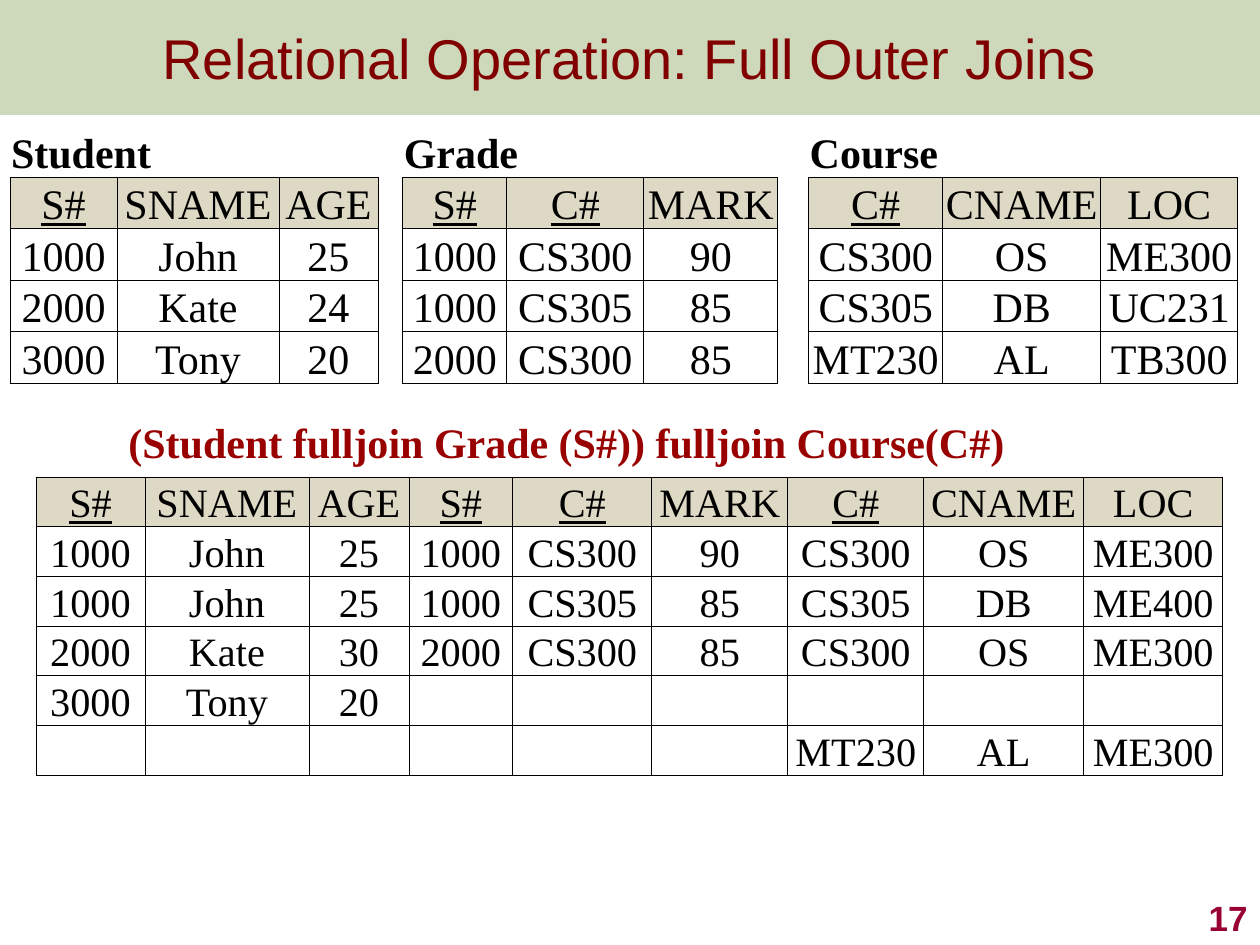
from pptx import Presentation, util as u
from pptx.dml.color import RGBColor
from pptx.enum import shapes, text
from pptx.oxml import parse_xml
from pptx.oxml.ns import nsdecls, qn
from lxml import etree

PX = 7257  # EMU per pixel at 126 px to the inch
LEFT, CENTER, RIGHT = text.PP_ALIGN.LEFT, text.PP_ALIGN.CENTER, text.PP_ALIGN.RIGHT
TOP, MIDDLE, BOTTOM = text.MSO_ANCHOR.TOP, text.MSO_ANCHOR.MIDDLE, text.MSO_ANCHOR.BOTTOM
SERIF = "Times New Roman"


def write(tf, words, size=24, font=SERIF, color="000000", bold=False,
          underline=False, align=LEFT):
    tf.word_wrap = True
    p = tf.paragraphs[0]
    p.alignment = align
    r = p.add_run()
    r.text = words
    r.font.size = u.Pt(size)
    r.font.name = font
    r.font.bold = bold
    r.font.underline = underline
    r.font.color.rgb = RGBColor.from_string(color)


def style_cell(cell, fill, sides):
    """Set tight margins, a fill and black lines on the named sides."""
    cell.margin_left = cell.margin_right = cell.margin_top = PX
    cell.margin_bottom = 0
    cell.vertical_anchor = BOTTOM
    tcPr = cell._tc.get_or_add_tcPr()
    for side in "LRTB":
        paint = ('<a:solidFill><a:srgbClr val="000000"/></a:solidFill>'
                 if side in sides else "<a:noFill/>")
        tcPr.append(parse_xml(f'<a:ln{side} {nsdecls("a")} w="6350">{paint}</a:ln{side}>'))
    cell.fill.solid()
    cell.fill.fore_color.rgb = RGBColor.from_string(fill)


prs = Presentation()
prs.slide_width, prs.slide_height = u.Inches(10), u.Inches(7.5)
s = prs.slides.add_slide(prs.slide_layouts[6])

# Title band
sp = s.shapes.add_shape(shapes.MSO_SHAPE.RECTANGLE, 0, 0, prs.slide_width, 115 * PX)
sp.shadow.inherit = False
sp.line.fill.background()
sp.fill.solid()
sp.fill.fore_color.rgb = RGBColor.from_string("5F8422")
etree.SubElement(sp._element.spPr.find(".//" + qn("a:srgbClr")), qn("a:alpha"), val="30000")
sp.text_frame.vertical_anchor = MIDDLE
write(sp.text_frame, "Relational Operation: Full Outer Joins", size=32,
      font="Arial", color="800000", align=CENTER)

# Join expression and page number
for words, x, y, w, h, anchor, style in [
    ("(Student fulljoin Grade (S#)) fulljoin Course(C#)", 116, 410, 1029, 63, TOP,
     dict(color="990000")),
    ("17", 998, 882, 262, 63, BOTTOM,
     dict(size=20, font="Arial", color="990033", align=RIGHT)),
]:
    tf = s.shapes.add_textbox(x * PX, y * PX, w * PX, h * PX).text_frame
    tf.vertical_anchor = anchor
    write(tf, words, bold=True, **style)

# Joined result, then the three source relations in one table with gap columns
joined = """S#|SNAME|AGE|S#|C#|MARK|C#|CNAME|LOC
1000|John|25|1000|CS300|90|CS300|OS|ME300
1000|John|25|1000|CS305|85|CS305|DB|ME400
2000|Kate|30|2000|CS300|85|CS300|OS|ME300
3000|Tony|20||||||
||||||MT230|AL|ME300"""
relations = """Student||||Grade||||Course||
S#|SNAME|AGE||S#|C#|MARK||C#|CNAME|LOC
1000|John|25||1000|CS300|90||CS300|OS|ME300
2000|Kate|24||1000|CS305|85||CS305|DB|UC231
3000|Tony|20||2000|CS300|85||MT230|AL|TB300"""

for data, x, y, height, size, header, gaps, widths in [
    (joined, 36, 477, 298, 23, 0, (), [109, 164, 100, 104, 139, 136, 136, 160, 139]),
    (relations, 10, 126, 240, 24, 1, (3, 7),
     [107, 162, 99, 25, 104, 137, 134, 31, 134, 158, 137]),
]:
    rows = [line.split("|") for line in data.splitlines()]
    table = s.shapes.add_table(len(rows), len(widths), x * PX, y * PX,
                               sum(widths) * PX, height * PX).table
    table.first_row = table.horz_banding = False
    for column, width in zip(table.columns, widths):
        column.width = width * PX
    for i, row in enumerate(rows):
        caption = i < header
        for j, words in enumerate(row):
            cell = table.cell(i, j)
            if j in gaps:
                sides = "" if caption else "LR"
            else:
                sides = "B" if caption else "LRTB"
            shaded = i == header and j not in gaps
            style_cell(cell, "DDD9C4" if shaded else "FFFFFF", sides)
            if caption and words:
                cell.merge(table.cell(i, j + 2))
            if words:
                write(cell.text_frame, words, size=size, bold=caption,
                      underline=shaded and words.endswith("#"),
                      align=LEFT if caption else CENTER)

prs.save("out.pptx")
